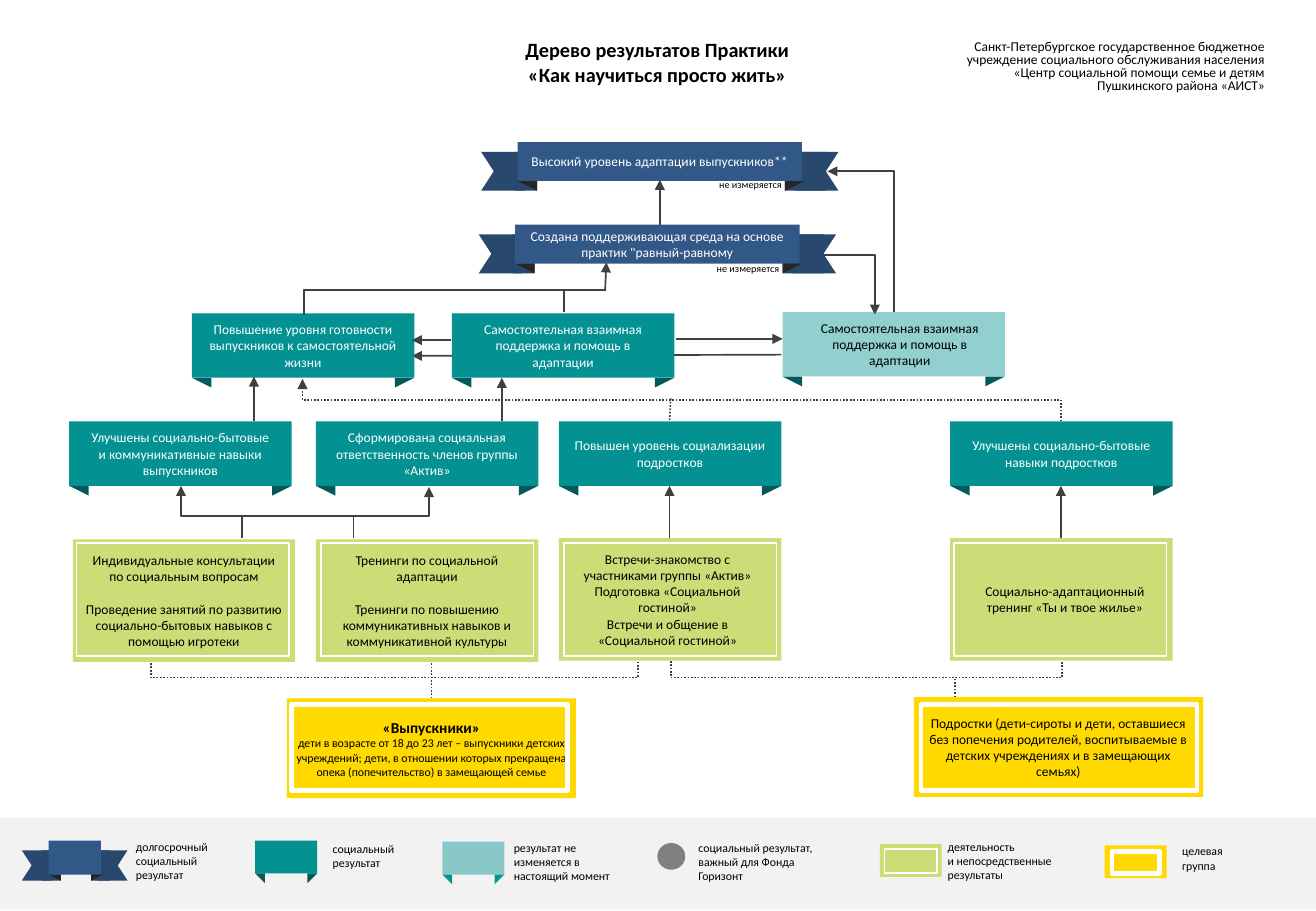
from lxml import etree
from pptx import Presentation
from pptx.dml.color import RGBColor
from pptx.enum.dml import MSO_LINE
from pptx.enum.shapes import MSO_CONNECTOR, MSO_SHAPE
from pptx.enum.text import MSO_ANCHOR, PP_ALIGN
from pptx.oxml.ns import qn
from pptx.util import Inches, Pt

RECT, ROUND, OVAL = MSO_SHAPE.RECTANGLE, MSO_SHAPE.ROUNDED_RECTANGLE, MSO_SHAPE.OVAL
CHEVRON, FOLD = MSO_SHAPE.CHEVRON, MSO_SHAPE.RIGHT_TRIANGLE
STRAIGHT, ELBOW = MSO_CONNECTOR.STRAIGHT, MSO_CONNECTOR.ELBOW
LEFT, CENTER, RIGHT = PP_ALIGN.LEFT, PP_ALIGN.CENTER, PP_ALIGN.RIGHT
TOP, MIDDLE = MSO_ANCHOR.TOP, MSO_ANCHOR.MIDDLE
DOTTED = MSO_LINE.ROUND_DOT

COLORS = {
    "black": "000000", "white": "FFFFFF", "line": "404040", "strip": "F2F2F2",
    "navy": "315887", "wing": "29486D", "shade": "262626",
    "teal": "039192", "teal_dark": "025A5A", "teal_fold": "039693",
    "green": "CBDD77", "yellow": "FFD900", "gray": "808080",
}

presentation = Presentation()
presentation.slide_width, presentation.slide_height = Inches(10.83), Inches(7.5)
slide = presentation.slides.add_slide(presentation.slide_layouts[6])


def add_block(kind, box, fill=None, lines=(), size=8, color="black", align=CENTER,
              anchor=MIDDLE, insets=(0.1, 0.05, 0.1, 0.05), alpha=None,
              rotation=0, flip=False, frame=None):
    """Add a preset shape, or a text box when kind is None."""
    position = [Inches(value) for value in box]
    if kind is None:
        shape = slide.shapes.add_textbox(*position)
    else:
        shape = slide.shapes.add_shape(kind, *position)
        shape.shadow.inherit = False
        shape.rotation = rotation
        if kind in (ROUND, CHEVRON):
            shape.adjustments[0] = 0 if kind == ROUND else 0.325
        if flip:
            shape.element.spPr.xfrm.set("flipH", "1")
        if fill:
            shape.fill.solid()
            shape.fill.fore_color.rgb = RGBColor.from_string(COLORS[fill])
        else:
            shape.fill.background()
        if alpha:
            tint = shape.element.spPr.find(".//" + qn("a:srgbClr"))
            etree.SubElement(tint, qn("a:alpha")).set("val", str(alpha * 1000))
        if frame:
            shape.line.color.rgb = RGBColor.from_string(COLORS["white"])
            shape.line.width = Pt(frame)
        else:
            shape.line.fill.background()
    if lines:
        text_frame = shape.text_frame
        text_frame.word_wrap = True
        text_frame.vertical_anchor = anchor
        for side, inset in zip(("left", "top", "right", "bottom"), insets):
            setattr(text_frame, "margin_" + side, Inches(inset))
        text_frame.text = "\n".join(lines)
        for paragraph in text_frame.paragraphs:
            paragraph.alignment = align
            for name, value in {"name": "Calibri", "size": Pt(size)}.items():
                setattr(paragraph.font, name, value)
            paragraph.font.color.rgb = RGBColor.from_string(COLORS[color])
    return shape


def connect(start, end, tail=False, head=False, dotted=False, preset=None, turn=None):
    """Add a line; a turn is the height of the middle run of an upright elbow."""
    (x1, y1), (x2, y2) = start, end
    upright = turn is not None
    if upright:
        middle_x, middle_y = (x1 + x2) / 2, (y1 + y2) / 2
        half_x, half_y = (x2 - x1) / 2, (y2 - y1) / 2
        ends = (middle_x - half_y, middle_y + half_x, middle_x + half_y, middle_y - half_x)
    else:
        ends = (x1, y1, x2, y2)
    connector = slide.shapes.add_connector(
        ELBOW if upright or preset else STRAIGHT, *[Inches(value) for value in ends])
    properties = connector.element.spPr
    geometry = properties.find(qn("a:prstGeom"))
    if preset:
        geometry.set("prst", preset)
    if upright:
        properties.find(qn("a:xfrm")).set("rot", "5400000")
        if not preset:
            guide = etree.SubElement(geometry.find(qn("a:avLst")), qn("a:gd"))
            guide.set("name", "adj1")
            guide.set("fmla", f"val {round((turn - y1) / (y2 - y1) * 100000)}")
    connector.line.color.rgb = RGBColor.from_string(COLORS["line"])
    connector.line.width = Pt(1)
    if dotted:
        connector.line.dash_style = DOTTED
    outline = properties.find(qn("a:ln"))
    for tag, wanted in (("a:headEnd", head), ("a:tailEnd", tail)):
        if wanted:
            etree.SubElement(outline, qn(tag)).set("type", "triangle")
    etree.SubElement(properties, qn("a:effectLst"))


# Lines behind the boxes
connect((6.43, 2.92), (3.39, 2.93), tail=True)
connect((5.43, 1.86), (5.43, 1.48), tail=True)
connect((6.64, 2.1), (7.2, 2.59), tail=True, preset="bentConnector2")

# Heading
title = add_block(None, (2.91, 0.26, 5, 0.5), size=12, anchor=TOP,
                  lines=["Дерево результатов Практики", "«Как научиться просто жить»"])
for paragraph in title.text_frame.paragraphs:
    paragraph.font.bold = True
organisation = add_block(None, (7.71, 0.29, 2.8, 0.53), align=RIGHT, anchor=TOP, lines=[
    "Санкт-Петербургское государственное бюджетное учреждение социального обслуживания "
    "населения «Центр социальной помощи семье и детям Пушкинского района «АИСТ»"])
organisation.text_frame.paragraphs[0].line_spacing = 0.8

# Legend strip and captions
add_block(RECT, (0, 6.73, 10.83, 0.76), "strip")
add_block(OVAL, (5.41, 6.94, 0.23, 0.22), "gray")
captions = [
    (1.02, 6.86, 1.07, 0.45, ["долгосрочный социальный результат"]),
    (2.64, 6.88, 1.1, 0.34, ["социальный результат"]),
    (4.13, 6.87, 1.05, 0.45, ["результат не изменяется в настоящий момент"]),
    (5.65, 6.87, 1.34, 0.45, ["социальный результат, важный для Фонда Горизонт"]),
    (7.7, 6.86, 1.28, 0.45, ["деятельность", "и непосредственные результаты"]),
    (9.63, 6.9, 1.01, 0.34, ["целевая", "группа"]),
]
for *box, lines in captions:
    add_block(None, box, lines=lines, size=7, align=LEFT, anchor=TOP)

# Framed boxes: target groups, activities and their legend keys
KEY, ACTIVITY, GROUP = (0.51, 0.27), (1.83, 1.01), (2.38, 0.82)
TIGHT, WIDE, SHIFTED = (0.04, 0.05, 0.04, 0.05), (0.08, 0.05, 0.12, 0.05), (0.18, 0.05, 0.12, 0.05)
EVEN = (0.08, 0.05, 0.08, 0.05)
framed_boxes = [
    (7.24, 6.95, KEY, "green", (0.04, 0.04, 0.43, 0.2), 1, EVEN, []),
    (9.09, 6.96, KEY, "yellow", (0.06, 0.05, 0.39, 0.18), 2.75, EVEN, []),
    (2.36, 5.75, GROUP, "yellow", (0.04, 0.05, 2.27, 0.71), 2.75, EVEN, [
        "«Выпускники»",
        "дети в возрасте от 18 до 23 лет – выпускники детских учреждений; дети, в отношении "
        "которых прекращена опека (попечительство) в замещающей семье"]),
    (7.52, 5.74, GROUP, "yellow", (0.06, 0.06, 2.27, 0.71), 2.75, EVEN, [
        "Подростки (дети-сироты и дети, оставшиеся без попечения родителей, "
        "воспитываемые в детских учреждениях и в замещающих семьях)"]),
    (0.6, 4.44, ACTIVITY, "green", (0.03, 0.03, 1.75, 0.93), 1, TIGHT, [
        "Индивидуальные консультации", "по социальным вопросам",
        "Проведение занятий по развитию социально-бытовых навыков с помощью игротеки"]),
    (2.6, 4.44, ACTIVITY, "green", (0.04, 0.03, 1.75, 0.93), 1, TIGHT, [
        "Тренинги по социальной", "адаптации",
        "Тренинги по повышению коммуникативных навыков и коммуникативной культуры"]),
    (4.6, 4.43, ACTIVITY, "green", (0.04, 0.04, 1.75, 0.93), 1, WIDE, [
        "Встречи-знакомство с участниками группы «Актив»",
        "Подготовка «Социальной гостиной»", "Встречи и общение в «Социальной гостиной»"]),
    (7.82, 4.43, ACTIVITY, "green", (0.03, 0.04, 1.75, 0.93), 1, SHIFTED, [
        "Социально-адаптационный тренинг «Ты и твое жилье»"]),
]
for left, top, size, fill, (dx, dy, width, height), weight, insets, lines in framed_boxes:
    box = add_block(ROUND, (left, top, *size), fill, lines, insets=insets)
    add_block(RECT, (left + dx, top + dy, width, height), frame=weight)
    paragraphs = box.text_frame.paragraphs
    if insets == TIGHT:
        paragraphs[2].space_before = Pt(9.75)
    if len(lines) == 2:
        paragraphs[0].font.size, paragraphs[0].font.bold = Pt(9), True
        paragraphs[1].font.size = Pt(7)

# Social results: plates with two folds, and their legend keys
RESULT = (1.83, 0.53, 0.16)
SMALL = (0.51, 0.27, 0.08)
MUTUAL_HELP = "Самостоятельная взаимная поддержка и помощь в адаптации"
results = [
    (2.1, 6.92, SMALL, None, "teal_dark", []),
    (3.64, 6.93, SMALL, 43, "teal_fold", []),
    (7.82, 3.47, RESULT, None, "teal_dark", ["Улучшены социально-бытовые навыки подростков"]),
    (4.6, 3.47, RESULT, None, "teal_dark", ["Повышен уровень социализации подростков"]),
    (2.6, 3.47, RESULT, None, "teal_dark",
     ["Сформирована социальная ответственность членов группы «Актив»"]),
    (0.57, 3.47, RESULT, None, "teal_dark",
     ["Улучшены социально-бытовые", "и коммуникативные навыки выпускников"]),
    (1.58, 2.58, RESULT, None, "teal_dark",
     ["Повышение уровня готовности выпускников к самостоятельной жизни"]),
    (3.72, 2.58, RESULT, None, "teal_dark", [MUTUAL_HELP]),
    (6.44, 2.57, RESULT, 43, "teal_dark", [MUTUAL_HELP]),
]
for left, top, (width, height, fold), alpha, fold_color, lines in results:
    add_block(ROUND, (left, top, width, height), "teal", lines, alpha=alpha,
              color="black" if alpha else "white",
              insets=(0.2 if alpha else 0.1, 0.05, 0.1, 0.05))
    for fold_left, flip in ((left, False), (left + width - fold, True)):
        add_block(FOLD, (fold_left, top + height, fold, 0.08), fold_color,
                  rotation=180, flip=flip)

# Long-term results: ribbons with wings, and their legend key
BIG_RIBBON = (2.34, 0.32, 0.46, 0.32, 0.3, 0.18, 0.34, 0.16, 0.08)
KEY_RIBBON = (0.43, 0.28, 0.33, 0.25, 0.22, 0.16, 0.16, 0.1, 0.05)
ribbons = [
    (0.4, 6.92, KEY_RIBBON, []),
    (4.24, 1.85, BIG_RIBBON, ['Создана поддерживающая среда на основе практик "равный-равному']),
    (4.26, 1.17, BIG_RIBBON, ["Высокий уровень адаптации выпускников**"]),
]
for left, top, measures, lines in ribbons:
    width, height, wing, wing_height, overhang, left_strip, right_strip, fold, fold_height = measures
    right, wing_top = left + width, top + 0.08
    add_block(CHEVRON, (right + overhang - wing, wing_top, wing, wing_height), "wing", rotation=180)
    add_block(RECT, (right - fold + 0.02, wing_top, right_strip, wing_height), "wing")
    add_block(CHEVRON, (left - overhang, wing_top, wing, wing_height), "wing")
    add_block(RECT, (left + fold - left_strip, wing_top, left_strip, wing_height), "wing")
    add_block(FOLD, (left, top + height, fold, fold_height), "shade", rotation=180)
    add_block(RECT, (left, top, width, height), "navy", lines, color="white")
    add_block(FOLD, (right - fold + 0.02, top + height, fold, fold_height), "shade",
              rotation=180, flip=True)
for left, top in ((5.82, 1.42), (5.8, 2.11)):
    add_block(None, (left, top, 0.79, 0.2), lines=["не измеряется"], size=6, align=LEFT, anchor=TOP)

# Elbow lines
connect((1.24, 5.46), (5.25, 5.45), dotted=True, turn=5.58)
connect((5.52, 5.44), (8.74, 5.45), dotted=True, turn=5.58)
connect((1.49, 4), (3.53, 4.01), head=True, tail=True, turn=4.25)
connect((2.5, 2.59), (4.64, 2.57), turn=2.39)
connect((8.73, 3.47), (2.49, 3.12), tail=True, dotted=True, turn=3.29)
connect((7.36, 2.57), (6.81, 1.41), tail=True, preset="bentConnector2", turn=1.41)

# Straight lines: start, end, arrow, dotted
straight_lines = [
    ((3.55, 5.75), (3.55, 5.46), False, True), ((7.86, 5.74), (7.86, 5.58), False, True),
    ((5.52, 3.28), (5.51, 3.47), False, True), ((8.73, 4.43), (8.73, 4), True, False),
    ((5.51, 4.43), (5.51, 4), True, False), ((1.99, 4.24), (1.99, 4.43), False, False),
    ((2.91, 4.24), (2.91, 4.43), False, False), ((2.09, 3.47), (2.09, 3.1), True, False),
    ((4.13, 3.47), (4.13, 3.11), True, False), ((4.63, 2.39), (4.99, 2.39), False, False),
    ((4.98, 2.39), (4.99, 2.16), True, False), ((3.71, 2.8), (3.39, 2.8), True, False),
    ((5.56, 2.79), (6.44, 2.79), True, False),
]
for start, end, arrow, dotted in straight_lines:
    connect(start, end, tail=arrow, dotted=dotted)

presentation.save("out.pptx")
